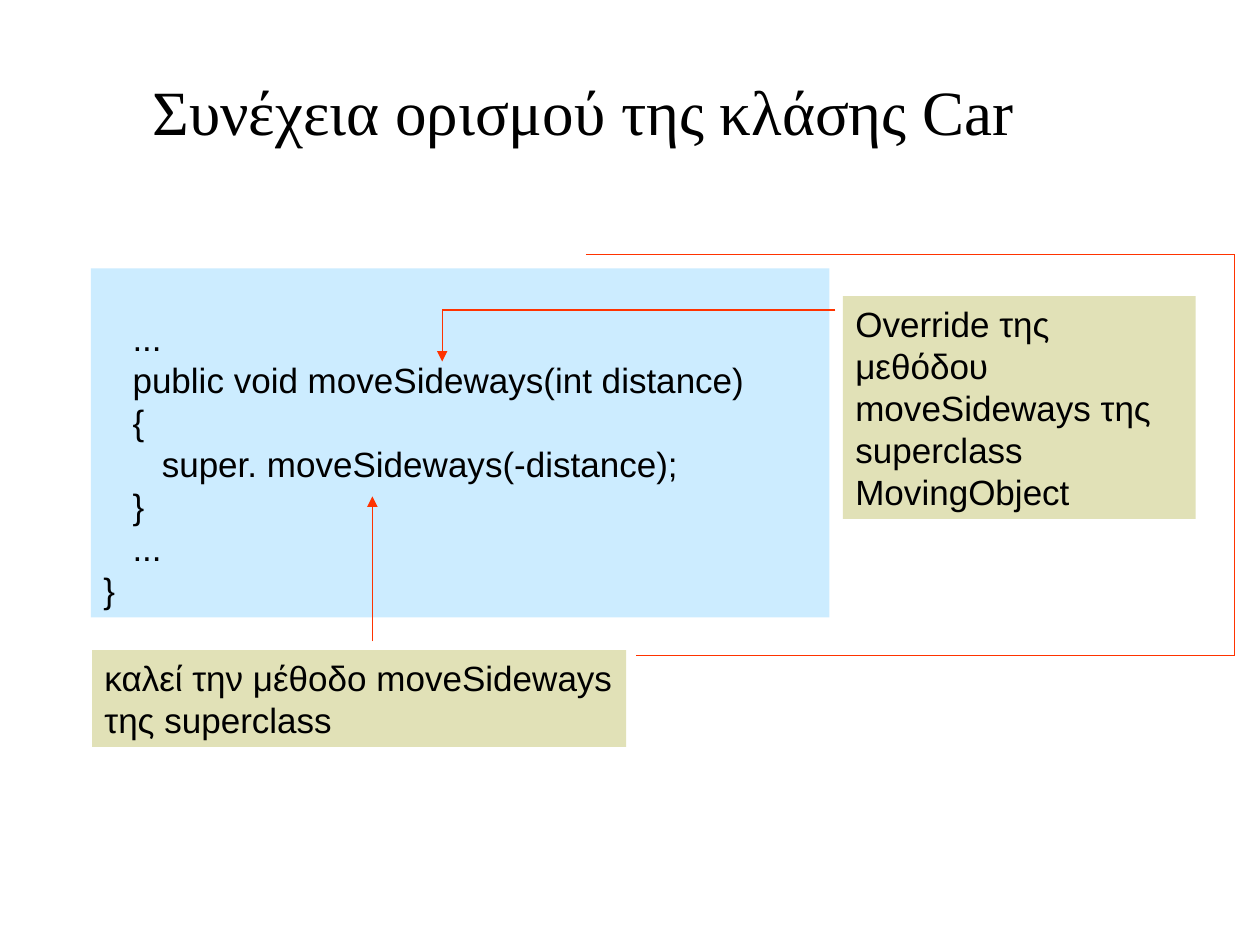
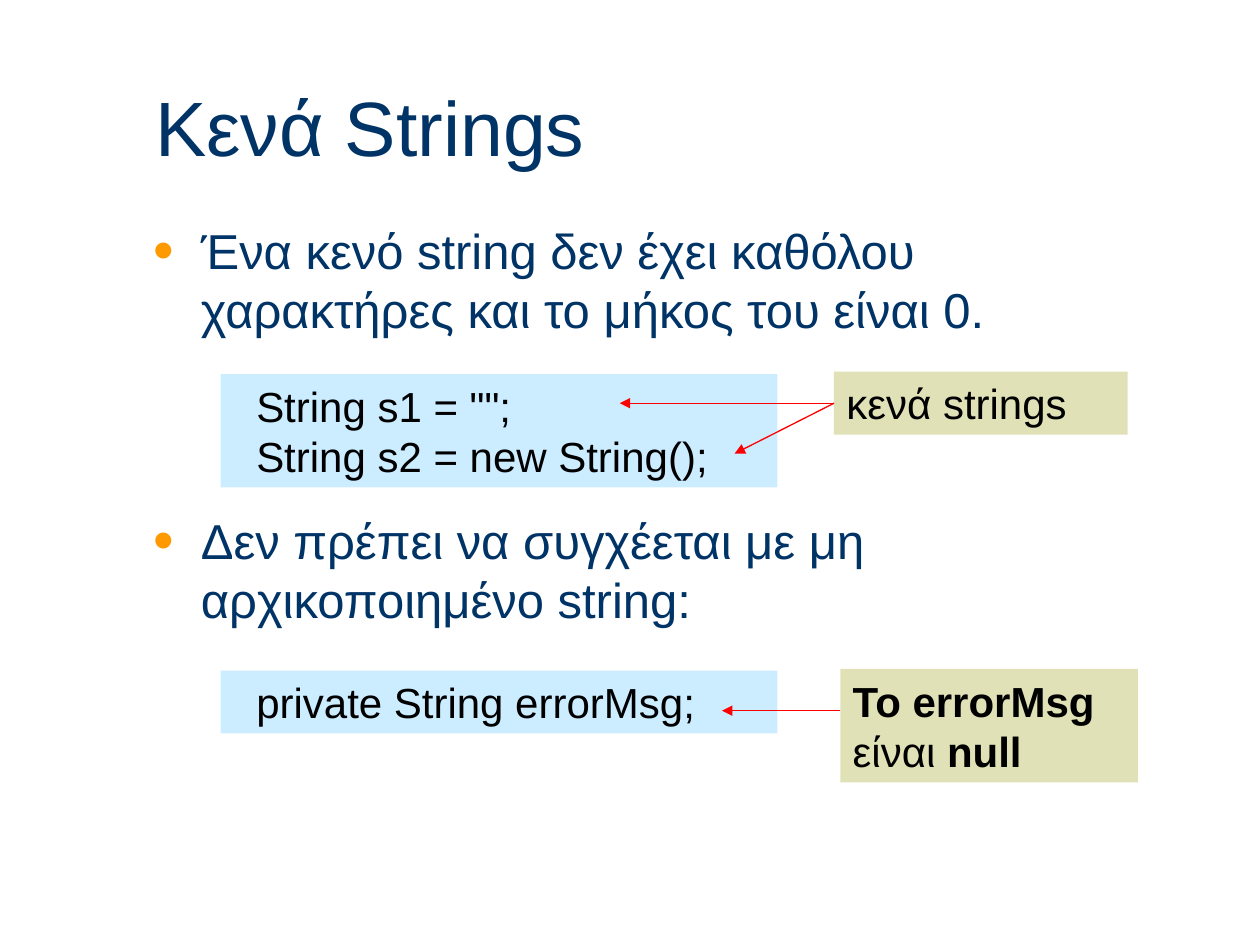
"""Build two slides about Java method overriding and empty strings."""
import dataclasses

import pptx
import pptx.dml.color
import pptx.enum.shapes
import pptx.enum.text
import pptx.oxml
import pptx.oxml.ns
import pptx.util

Pt = pptx.util.Pt
RGB = pptx.dml.color.RGBColor.from_string


@dataclasses.dataclass(frozen=True)
class Theme:
    sans: str = "Arial"
    serif: str = "Times New Roman"
    ink: str = "000000"
    navy: str = "003366"
    bullet: str = "FF9900"
    code: str = "CCECFF"
    note: str = "E1E1B7"
    orange: str = "FF3300"
    red: str = "FF0000"
    heading: int = 44
    serif_heading: int = 36
    body: int = 28
    large: int = 24
    small: int = 20
    leading: float = 1.2
    thin: float = 0.75
    space: float = 0.278


class Deck:
    def __init__(self, theme):
        self.t = theme
        self.prs = pptx.Presentation()
        self.prs.slide_width, self.prs.slide_height = Pt(720), Pt(540)
        self.s = None

    def slide(self, layout):
        self.s = self.prs.slides.add_slide(self.prs.slide_layouts[layout])

    def xml(self, parent, tag, **attrs):
        e = pptx.oxml.parse_xml(f"<a:{tag} {pptx.oxml.ns.nsdecls('a')}/>")
        for name, value in attrs.items():
            e.set(name, str(value))
        parent.append(e)
        return e

    def place(self, sp, box):
        sp.left, sp.top, sp.width, sp.height = map(Pt, box)

    def frame(self, sp, anchor, top=3.6):
        tf = sp.text_frame
        tf.word_wrap = True
        tf.auto_size = pptx.enum.text.MSO_AUTO_SIZE.NONE
        tf.vertical_anchor = anchor
        tf.margin_left = tf.margin_right = Pt(7.2)
        tf.margin_top, tf.margin_bottom = Pt(top), Pt(3.6)
        return tf

    def paragraph(self, tf, i, runs, size, color, font=None, before=0):
        p = tf.paragraphs[0] if i == 0 else tf.add_paragraph()
        p.alignment = pptx.enum.text.PP_ALIGN.LEFT
        p.line_spacing = Pt(size * self.t.leading)
        p.space_before = Pt(before)
        for text, bold in runs:
            r = p.add_run()
            r.text = text
            r.font.name, r.font.size = font or self.t.sans, Pt(size)
            r.font.bold = bold
            r.font.color.rgb = RGB(color)
        return p

    def title(self, text, box, size, color, font=None):
        sp = self.s.shapes.title
        self.place(sp, box)
        tf = self.frame(sp, pptx.enum.text.MSO_ANCHOR.MIDDLE)
        self.paragraph(tf, 0, [(text, False)], size, color, font)

    def bullets(self, items, box, gap):
        sp = self.s.placeholders[1]
        self.place(sp, box)
        tf = self.frame(sp, pptx.enum.text.MSO_ANCHOR.TOP)
        for i, text in enumerate(items):
            p = self.paragraph(tf, i, [(text, False)], self.t.body, self.t.navy,
                               before=gap if i else 0)
            pPr = p._p.get_or_add_pPr()
            pPr.set("marL", str(Pt(27)))
            pPr.set("indent", str(Pt(-27)))
            self.xml(self.xml(pPr, "buClr"), "srgbClr", val=self.t.bullet)
            self.xml(pPr, "buSzPct", val=120000)
            self.xml(pPr, "buFont", typeface=self.t.sans)
            self.xml(pPr, "buChar", char="•")

    def panel(self, box, fill, top=3.6):
        sp = self.s.shapes.add_shape(
            pptx.enum.shapes.MSO_SHAPE.RECTANGLE, *map(Pt, box))
        sp.shadow.inherit = False
        sp.fill.solid()
        sp.fill.fore_color.rgb = RGB(fill)
        sp.line.fill.background()
        return sp, self.frame(sp, pptx.enum.text.MSO_ANCHOR.TOP, top)

    def code(self, lines, box, size, top=3.6):
        sp, tf = self.panel(box, self.t.code, top)
        for i, (columns, text) in enumerate(lines):
            p = self.paragraph(tf, i, [(text, False)], size, self.t.ink)
            p._p.get_or_add_pPr().set(
                "marL", str(Pt(columns * size * self.t.space)))
        return sp

    def note(self, runs, box, size):
        sp, tf = self.panel(box, self.t.note)
        self.paragraph(tf, 0, runs, size, self.t.ink)
        return sp

    def line(self, start, end, color, width=None, arrow=False, source=None):
        c = self.s.shapes.add_connector(
            pptx.enum.shapes.MSO_CONNECTOR.STRAIGHT, *map(Pt, (*start, *end)))
        if source is not None:
            c.begin_connect(source, 1)
        c.line.color.rgb = RGB(color)
        c.line.width = Pt(width or self.t.thin)
        if arrow:
            self.xml(c.line._get_or_add_ln(), "tailEnd", type="triangle")
        self.xml(c._element.spPr, "effectLst")


def car_slide(d):
    t = d.t
    d.slide(5)
    d.title("Συνέχεια ορισμού της κλάσης Car", (80, 38, 532, 50.5),
            t.serif_heading, t.ink, t.serif)
    d.code([(3, "..."),
            (3, "public void moveSideways(int distance)"),
            (3, "{"),
            (6, "super. moveSideways(-distance);"),
            (3, "}"),
            (3, "..."),
            (0, "}")],
           (52, 153.4, 422, 199.4), t.small, top=27.6)
    d.note([("Override της μεθόδου moveSideways της superclass MovingObject",
             False)], (481.7, 169.2, 201.6, 127.4), t.small)
    d.note([("καλεί την μέθοδο moveSideways της superclass", False)],
           (52.6, 371.5, 305.3, 55.4), t.small)
    bracket = [(334.8, 145.4), (705.6, 145.4), (705.6, 374.4), (363.6, 374.4)]
    for start, end in zip(bracket, bracket[1:]):
        d.line(start, end, t.orange)
    corner = (252.7, 177.2)
    d.line((477.4, 177.2), corner, t.orange, width=1)
    d.line(corner, (252.7, 206.6), t.orange, arrow=True)
    d.line((212.8, 366.5), (212.8, 283.7), t.orange, arrow=True)


def strings_slide(d):
    t = d.t
    d.slide(1)
    d.title("Κενά Strings", (81.4, 38, 612, 67.7), t.heading, t.navy)
    d.bullets(["Ένα κενό string δεν έχει καθόλου χαρακτήρες και το μήκος του είναι 0.",
               "Δεν πρέπει να συγχέεται με μη αρχικοποιημένο string:"],
              (80.6, 122.4, 571, 378), gap=98.7)
    d.code([(2, 'String s1 = "";'), (2, "String s2 = new String();")],
           (126, 213.8, 318.2, 64.8), t.large)
    d.code([(2, "private String errorMsg;")], (126, 383.2, 318.2, 36), t.large)
    empty = d.note([("κενά strings", False)], (476.6, 212.4, 167.8, 36), t.large)
    d.note([("Το errorMsg", True), (" είναι ", False), ("null", True)],
           (480.2, 382.3, 170, 64.8), t.large)
    for tip in ((354.2, 230.4), (419.8, 259.2)):
        d.line((476.6, 230.4), tip, t.red, arrow=True, source=empty)
    d.line((480.2, 406.1), (412.6, 406.1), t.red, arrow=True)


def main():
    d = Deck(Theme())
    car_slide(d)
    strings_slide(d)
    d.prs.save("out.pptx")


if __name__ == "__main__":
    main()
